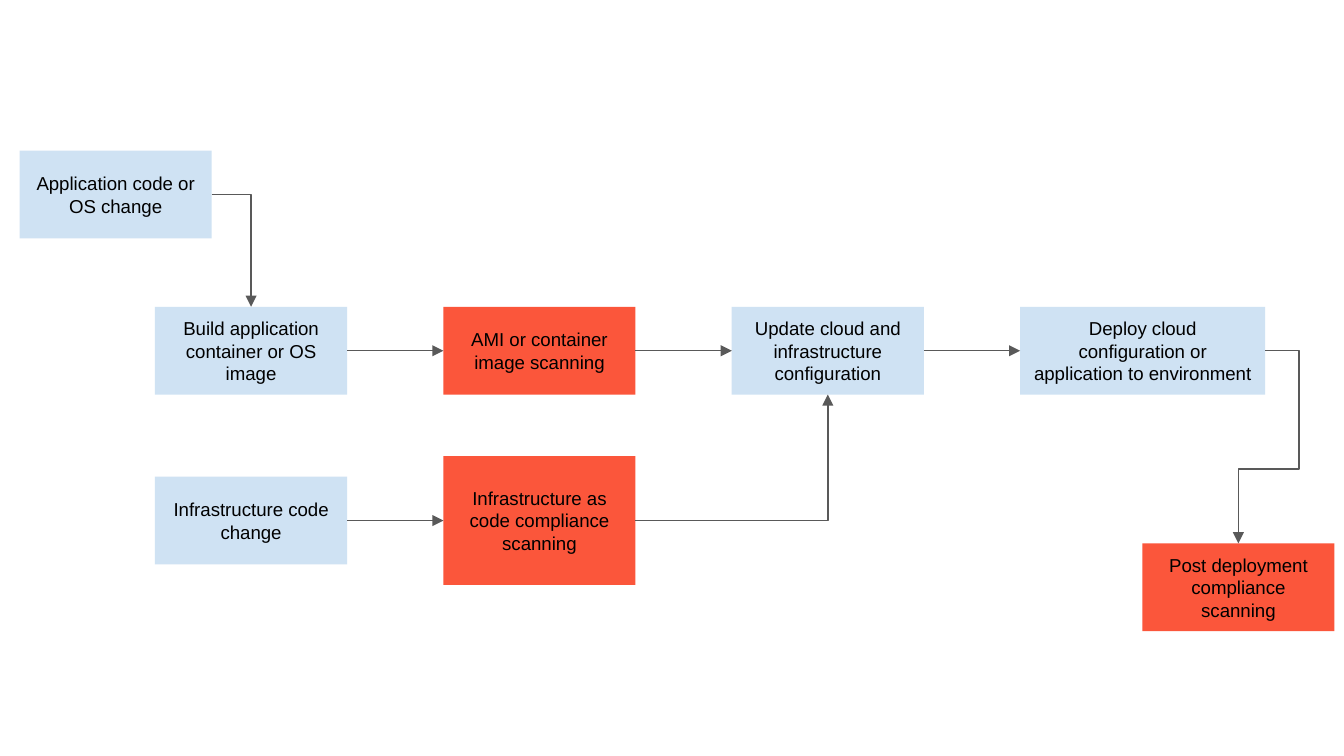
from dataclasses import dataclass

from lxml import etree
from pptx import Presentation
from pptx.dml.color import RGBColor
from pptx.enum.shapes import MSO_CONNECTOR, MSO_SHAPE
from pptx.enum.text import MSO_ANCHOR, PP_ALIGN
from pptx.oxml.ns import qn
from pptx.shapes.autoshape import Shape
from pptx.slide import Slide
from pptx.util import Cm, Pt

RECT = MSO_SHAPE.RECTANGLE
STRAIGHT, ELBOW = MSO_CONNECTOR.STRAIGHT, MSO_CONNECTOR.ELBOW
MIDDLE, CENTER = MSO_ANCHOR.MIDDLE, PP_ALIGN.CENTER
TOP, LEFT, BOTTOM, RIGHT = range(4)
SITE_OFFSETS = {TOP: (0.5, 0), LEFT: (0, 0.5), BOTTOM: (0.5, 1), RIGHT: (1, 0.5)}


@dataclass(frozen=True)
class Theme:
    step: RGBColor = RGBColor(0xCF, 0xE2, 0xF3)
    scan: RGBColor = RGBColor(0xFB, 0x56, 0x3B)
    text: RGBColor = RGBColor(0, 0, 0)
    line: RGBColor = RGBColor(0x59, 0x59, 0x59)
    font: str = "Arial"
    size: float = 10
    line_width: float = 0.75


@dataclass(frozen=True)
class Box:
    key: str
    text: str
    left: float
    center_y: float
    fill: RGBColor
    width: float = 3.63
    height: float = 1.66

    def site(self, index: int) -> tuple[Cm, Cm]:
        dx, dy = SITE_OFFSETS[index]
        return (Cm(self.left + dx * self.width),
                Cm(self.center_y + (dy - 0.5) * self.height))


@dataclass(frozen=True)
class Link:
    start: str
    end: str
    start_site: int = RIGHT
    end_site: int = LEFT
    preset: str = ""
    adjust: tuple[int, ...] = ()


THEME = Theme()
COLS = [2.93 + 5.45 * i for i in range(4)]
CODE_ROW, BUILD_ROW, INFRA_ROW, POST_ROW = 3.68, 6.63, 9.84, 11.1

BOXES = [
    Box("code", "Application code or OS change", 0.37, CODE_ROW, THEME.step),
    Box("build", "Build application container or OS image", COLS[0], BUILD_ROW, THEME.step),
    Box("image_scan", "AMI or container image scanning", COLS[1], BUILD_ROW, THEME.scan),
    Box("update", "Update cloud and infrastructure configuration", COLS[2], BUILD_ROW, THEME.step),
    Box("deploy", "Deploy cloud configuration or application to environment",
        COLS[3], BUILD_ROW, THEME.step, width=4.63),
    Box("infra", "Infrastructure code change", COLS[0], INFRA_ROW, THEME.step),
    Box("infra_scan", "Infrastructure as code compliance scanning",
        COLS[1], INFRA_ROW, THEME.scan, height=2.43),
    Box("post_scan", "Post deployment compliance scanning", 21.59, POST_ROW, THEME.scan),
]

LINKS = [
    Link("code", "build", end_site=TOP, preset="bentConnector2"),
    Link("build", "image_scan"),
    Link("image_scan", "update"),
    Link("update", "deploy"),
    Link("infra", "infra_scan"),
    Link("infra_scan", "update", end_site=BOTTOM, preset="bentConnector2"),
    Link("deploy", "post_scan", end_site=TOP, preset="bentConnector4",
         adjust=(-127500, 61400)),
]


def add_box(s: Slide, box: Box) -> Shape:
    left, top = Cm(box.left), Cm(box.center_y - box.height / 2)
    sp = s.shapes.add_shape(RECT, left, top, Cm(box.width), Cm(box.height))
    sp.shadow.inherit = False
    sp.fill.solid()
    sp.fill.fore_color.rgb = box.fill
    sp.line.fill.background()
    tf = sp.text_frame
    tf.word_wrap = True
    tf.vertical_anchor = MIDDLE
    tf.margin_left = tf.margin_right = tf.margin_top = tf.margin_bottom = Cm(0.25)
    p = tf.paragraphs[0]
    p.alignment = CENTER
    r = p.add_run()
    r.text = box.text
    r.font.name = THEME.font
    r.font.size = Pt(THEME.size)
    r.font.color.rgb = THEME.text
    return sp


def add_link(s: Slide, link: Link, boxes: dict[str, Box], shapes: dict[str, Shape]) -> None:
    c = s.shapes.add_connector(ELBOW if link.preset else STRAIGHT,
                               *boxes[link.start].site(link.start_site),
                               *boxes[link.end].site(link.end_site))
    c.begin_connect(shapes[link.start], link.start_site)
    c.end_connect(shapes[link.end], link.end_site)
    c.line.color.rgb = THEME.line
    c.line.width = Pt(THEME.line_width)
    sp_pr = c.element.spPr
    etree.SubElement(sp_pr.find(qn("a:ln")), qn("a:tailEnd"), type="triangle")
    etree.SubElement(sp_pr, qn("a:effectLst"))
    if link.preset:
        geom = sp_pr.find(qn("a:prstGeom"))
        geom.set("prst", link.preset)
        guides = geom.find(qn("a:avLst"))
        for i, value in enumerate(link.adjust, 1):
            etree.SubElement(guides, qn("a:gd"), name=f"adj{i}", fmla=f"val {value}")


def main() -> None:
    prs = Presentation()
    prs.slide_width, prs.slide_height = Cm(25.4), Cm(14.29)
    s = prs.slides.add_slide(prs.slide_layouts.get_by_name("Blank"))
    boxes = {box.key: box for box in BOXES}
    shapes = {box.key: add_box(s, box) for box in BOXES}
    for link in LINKS:
        add_link(s, link, boxes, shapes)
    prs.save("out.pptx")


main()
